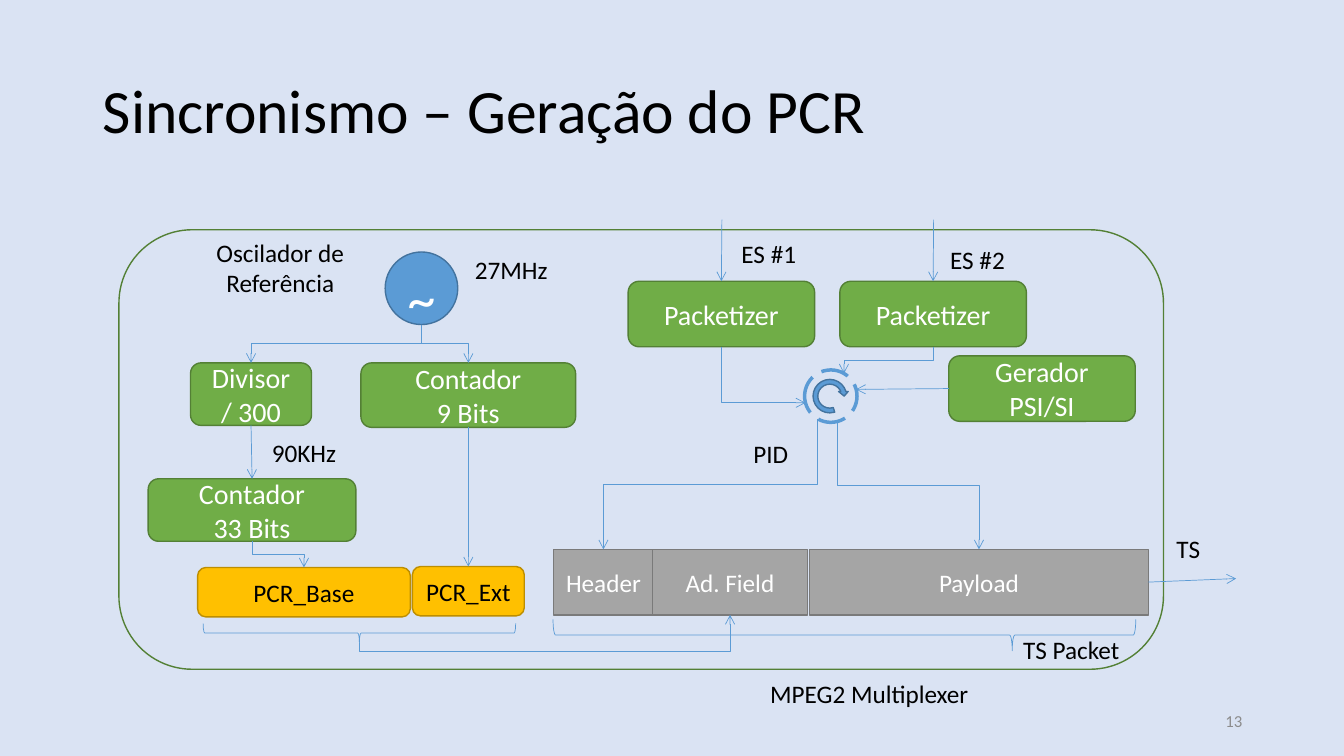
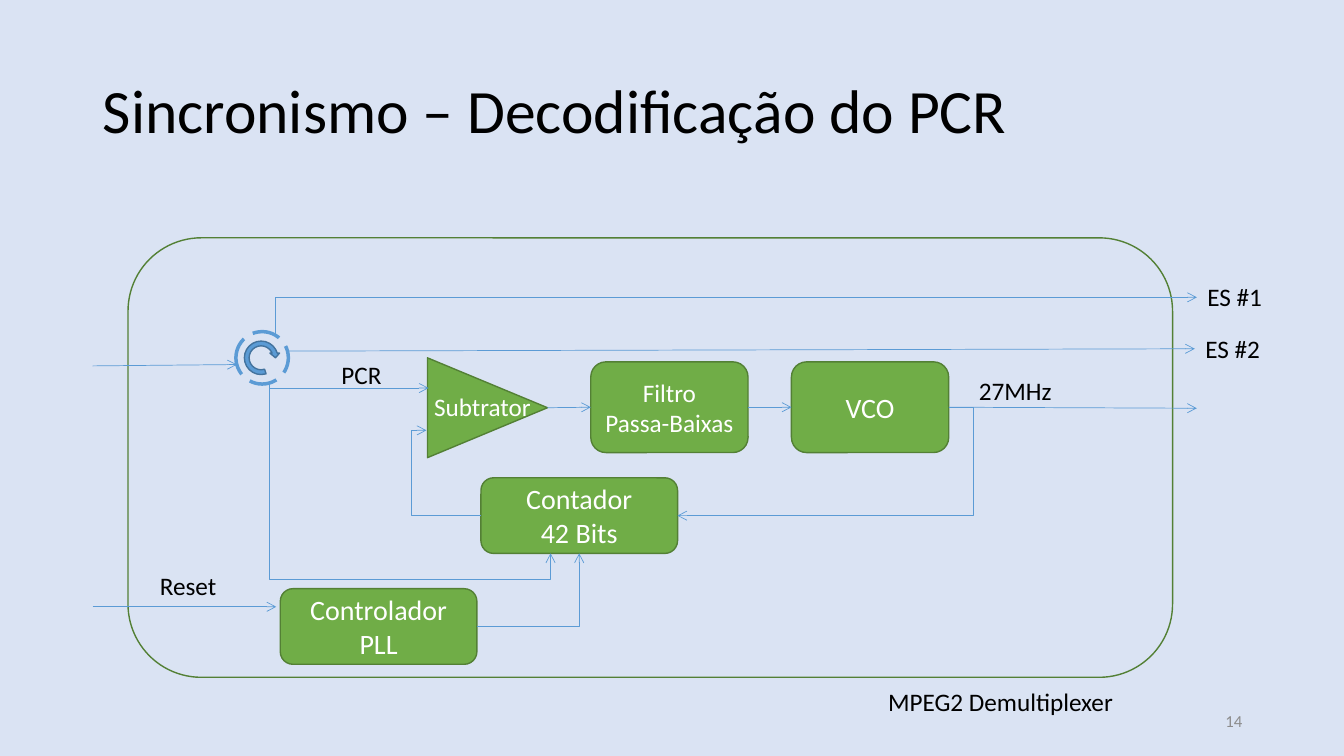
from dataclasses import dataclass
from math import cos, radians, sin

from lxml.etree import SubElement
from pptx import Presentation
from pptx.dml.color import RGBColor
from pptx.enum.dml import MSO_LINE
from pptx.enum.shapes import MSO_CONNECTOR, MSO_SHAPE
from pptx.enum.text import MSO_ANCHOR, PP_ALIGN
from pptx.oxml.ns import qn
from pptx.util import Inches, Pt

FONT = "Calibri"
BACKGROUND, BLACK, WHITE, PAGE_NUMBER = "DAE3F3", "000000", "FFFFFF", "8C8C8C"
BLUE, DARK_BLUE = "5B9BD5", "43739E"
GREEN, DARK_GREEN = "70AD47", "538035"
GOLD, DARK_GOLD = "FFC000", "BD8E00"
GRAY, DARK_GRAY = "A5A5A5", "7A7A7A"
TOP, LEFT, BOTTOM, RIGHT = range(4)
ROUND_TOP_RIGHT, ROUND_LEFT, ROUND_BOTTOM_LEFT, ROUND_BOTTOM, ROUND_RIGHT = 7, 2, 3, 4, 6


def color(value):
    """Turn a hex string into a colour."""
    return RGBColor.from_string(value)


def write(box, text, size=18, fill=BLACK, align=PP_ALIGN.CENTER,
          anchor=MSO_ANCHOR.MIDDLE, spacing=None):
    """Write one paragraph per line of text into a box."""
    frame = box.text_frame
    frame.word_wrap = True
    frame.vertical_anchor = anchor
    for index, line in enumerate(text.split("\n")):
        para = frame.add_paragraph() if index else frame.paragraphs[0]
        para.alignment = align
        if spacing:
            para.line_spacing = spacing
        span = para.add_run()
        span.text = line
        span.font.name = FONT
        span.font.size = Pt(size)
        span.font.color.rgb = color(fill)


def anchor_point(shape, site):
    """Find the centre of a connection site, in slide units."""
    count = 8 if shape.auto_shape_type == MSO_SHAPE.OVAL else 4
    angle = radians(-90 - site * 360 / count)
    turn = radians(shape.rotation)
    across = shape.width / 2 * cos(angle)
    down = shape.height / 2 * sin(angle)
    return (shape.left + shape.width / 2 + across * cos(turn) - down * sin(turn),
            shape.top + shape.height / 2 + across * sin(turn) + down * cos(turn))


@dataclass
class Diagram:
    """A drawing area whose lengths count from its top left corner."""
    page: object
    left: float
    top: float

    def place(self, left, top, width, height):
        """Turn a box of the diagram into slide lengths."""
        return [Inches(n) for n in (self.left + left, self.top + top, width, height)]

    def shape(self, kind, box, fill=None, line=DARK_GREEN, width=1, rotation=0, adjust=()):
        """Add a preset shape."""
        shape = self.page.shapes.add_shape(kind, *self.place(*box))
        shape.shadow.inherit = False
        shape.rotation = rotation
        if fill:
            shape.fill.solid()
            shape.fill.fore_color.rgb = color(fill)
        else:
            shape.fill.background()
        shape.line.color.rgb = color(line)
        shape.line.width = Pt(width)
        for index, value in enumerate(adjust):
            shape.adjustments[index] = value
        return shape

    def block(self, text, box, fill=GREEN, line=DARK_GREEN, ink=WHITE, size=20,
              kind=MSO_SHAPE.ROUNDED_RECTANGLE):
        """Add a filled shape with centred text."""
        block = self.shape(kind, box, fill, line)
        write(block, text, size, ink)
        return block

    def label(self, text, left, top, width, height=0.4, **style):
        """Add a free text label."""
        box = self.page.shapes.add_textbox(*self.place(left, top, width, height))
        write(box, text, anchor=MSO_ANCHOR.TOP, **style)

    def frame(self, caption, left, width):
        """Add the outline of the diagram and the caption below it."""
        self.shape(MSO_SHAPE.ROUNDED_RECTANGLE, (0, 0, 10.36, 4.36))
        self.label(caption, left, 4.4, width, align=PP_ALIGN.LEFT)

    def brace(self, left, top, width, height, adjust=()):
        """Add a brace that opens upwards."""
        self.shape(MSO_SHAPE.LEFT_BRACE, (left, top, width, height), None, BLUE, 0.5, 270, adjust)

    def switch(self, left, top):
        """Add the dashed rotating switch and return its ring."""
        ring = self.shape(MSO_SHAPE.OVAL, (left, top, 0.52, 0.52), None, BLUE, 2.5, 345.1)
        ring.line.dash_style = MSO_LINE.LONG_DASH
        self.shape(MSO_SHAPE.CIRCULAR_ARROW, (left + 0.06, top + 0.07, 0.38, 0.38), BLUE,
                   DARK_BLUE, adjust=(0.125, 11.423, 204.577, 43.786, 0.125))
        return ring

    def locate(self, end):
        """Find a wire end given as (shape, site) or as (x, y)."""
        if hasattr(end[0], "shape_id"):
            return anchor_point(*end)
        return Inches(self.left + end[0]), Inches(self.top + end[1])

    def wire(self, start, end, route="straight", vertical=True, bend=0.5):
        """Add an arrow that runs straight, in a step or round a corner."""
        (x1, y1), (x2, y2) = self.locate(start), self.locate(end)
        straight = route == "straight"
        turned = vertical and not straight
        clockwise = not (x2 > x1 and y2 > y1)
        if turned:
            sign = 1 if clockwise else -1
            middle_x, middle_y = (x1 + x2) / 2, (y1 + y2) / 2
            half_x, half_y = sign * (y2 - y1) / 2, sign * (x1 - x2) / 2
            x1, x2 = middle_x - half_x, middle_x + half_x
            y1, y2 = middle_y - half_y, middle_y + half_y
        kind = MSO_CONNECTOR.STRAIGHT if straight else MSO_CONNECTOR.ELBOW
        points = [int(round(n)) for n in (x1, y1, x2, y2)]
        wire = self.page.shapes.add_connector(kind, *points)
        wire.line.color.rgb = color(BLUE)
        wire.line.width = Pt(0.5)
        properties = wire.element.spPr
        if turned:
            properties.find(qn("a:xfrm")).set("rot", "5400000" if clockwise else "16200000")
        geometry = properties.find(qn("a:prstGeom"))
        if route == "corner":
            geometry.set("prst", "bentConnector2")
        elif route == "step":
            for guides in geometry.findall(qn("a:avLst")):
                geometry.remove(guides)
            SubElement(SubElement(geometry, qn("a:avLst")), qn("a:gd"),
                       name="adj1", fmla=f"val {round(bend * 100000)}")
        SubElement(properties.find(qn("a:ln")), qn("a:tailEnd"), type="arrow")
        SubElement(properties, qn("a:effectLst"))
        links = wire.element.find(".//" + qn("p:cNvCxnSpPr"))
        for tag, target in (("a:stCxn", start), ("a:endCxn", end)):
            if hasattr(target[0], "shape_id"):
                SubElement(links, qn(tag), id=str(target[0].shape_id), idx=str(target[1]))


def add_page(deck, title, number):
    """Add a slide with its title and number."""
    page = deck.slides.add_slide(deck.slide_layouts[5])
    box = page.shapes.title
    box.left, box.top, box.width, box.height = [Inches(n) for n in (0.92, 0.4, 11.5, 1.45)]
    write(box, title, 44, align=PP_ALIGN.LEFT, spacing=0.9)
    footer = page.shapes.add_textbox(Inches(9.42), Inches(6.95), Inches(3), Inches(0.4))
    write(footer, str(number), 12, PAGE_NUMBER, PP_ALIGN.RIGHT)
    return page


def draw_clock(area):
    """Draw the reference clock and its counters down to the PCR fields."""
    oscillator = area.block("~", (2.64, 0.22, 0.72, 0.72), BLUE, DARK_BLUE, size=40,
                            kind=MSO_SHAPE.OVAL)
    oscillator.text_frame.margin_top = Inches(0.23)
    divider = area.block("Divisor\n/ 300", (0.71, 1.32, 1.2, 0.62))
    short_counter = area.block("Contador\n9 Bits", (2.4, 1.32, 2.13, 0.64))
    long_counter = area.block("Contador\n33 Bits", (0.29, 2.47, 2.06, 0.62))
    gold = dict(fill=GOLD, line=DARK_GOLD, ink=BLACK, size=18)
    base = area.block("PCR_Base", (0.78, 3.35, 2.11, 0.49), **gold)
    extension = area.block("PCR_Ext", (2.91, 3.34, 1.11, 0.49), **gold)
    area.label("Oscilador de Referência", 0.77, 0.02, 1.66, 0.71)
    area.label("27MHz", 3.42, 0.19, 0.94)
    area.label("90KHz", 1.39, 2.01, 0.89)
    for counter in (divider, short_counter):
        area.wire((oscillator, ROUND_BOTTOM), (counter, TOP), "step")
    area.wire((divider, BOTTOM), (long_counter, TOP))
    area.wire((long_counter, BOTTOM), (base, TOP), "step")
    area.wire((short_counter, BOTTOM), (extension, TOP))
    area.brace(2.29, 2.45, 0.19, 3.1)


def draw_packets(area):
    """Draw the packetizers, the switch and the transport packet."""
    packetizers = [area.block("Packetizer", (left, 0.51, 1.85, 0.65)) for left in (5.05, 7.15)]
    tables = area.block("Gerador\nPSI/SI", (8.23, 1.25, 1.85, 0.65))
    switch = area.switch(6.8, 1.39)
    header, field, payload = [
        area.block(text, (left, 3.17, width, 0.65), GRAY, DARK_GRAY, size=18,
                   kind=MSO_SHAPE.RECTANGLE)
        for text, left, width in (("Header", 4.31, 0.99), ("Ad. Field", 5.29, 1.54),
                                  ("Payload", 6.85, 3.36))]
    area.brace(7.04, 1.13, 0.31, 5.78, (0.083, 0.788))
    for text, left, top, width in (("ES #1", 5.97, 0.04, 0.95), ("ES #2", 8.04, 0.09, 0.95),
                                   ("PID", 6.02, 2.02, 0.89), ("TS Packet", 8.77, 3.96, 1.35),
                                   ("TS", 10.18, 2.96, 0.85)):
        area.label(text, left, top, width)
    for packetizer, left in zip(packetizers, (5.98, 8.08)):
        area.wire((left, -0.1), (packetizer, TOP))
    area.wire((packetizers[0], BOTTOM), (switch, ROUND_LEFT), "corner")
    area.wire((packetizers[1], BOTTOM), (switch, ROUND_TOP_RIGHT), "step")
    area.wire((tables, LEFT), (switch, ROUND_RIGHT))
    area.wire((switch, ROUND_BOTTOM_LEFT), (header, TOP), "step")
    area.wire((switch, ROUND_BOTTOM), (payload, TOP), "step")
    area.wire((2.38, 4.1), (field, BOTTOM), "step", bend=-0.28)
    area.wire((payload, RIGHT), (11.08, 3.46))


def draw_decoder(area):
    """Draw the loop that recovers the clock."""
    switch = area.switch(1.07, 0.93)
    subtractor = area.shape(MSO_SHAPE.ISOSCELES_TRIANGLE, (3.07, 1.09, 0.99, 1.19), GREEN,
                            rotation=90)
    low_pass = area.block("Filtro\nPassa-Baixas", (4.59, 1.23, 1.56, 0.9), size=18)
    oscillator = area.block("VCO", (6.58, 1.23, 1.56, 0.9))
    counter = area.block("Contador\n42 Bits", (3.5, 2.38, 1.95, 0.75))
    controller = area.block("Controlador\nPLL", (1.51, 3.48, 1.95, 0.75))
    area.label("Subtrator", 2.83, 1.47, 1.37, fill=WHITE)
    for text, left, top, width in (("PCR", 1.89, 1.16, 0.85), ("27MHz", 8.32, 1.31, 0.96),
                                   ("Reset", 0.17, 3.25, 0.85), ("ES #1", 10.5, 0.38, 0.95),
                                   ("ES #2", 10.48, 0.9, 0.95)):
        area.label(text, left, top, width)
    area.wire((-0.35, 1.27), (switch, ROUND_LEFT))
    area.wire((switch, ROUND_TOP_RIGHT), (10.6, 0.59), "corner")
    area.wire((switch, ROUND_RIGHT), (10.58, 1.1))
    area.wire((switch, ROUND_BOTTOM), (2.98, 1.49), "corner")
    area.wire((switch, ROUND_BOTTOM), (4.19, 3.13), "step", bend=1.15)
    area.wire((subtractor, TOP), (low_pass, LEFT))
    area.wire((low_pass, RIGHT), (oscillator, LEFT))
    area.wire((oscillator, RIGHT), (10.6, 1.69))
    area.wire((oscillator, RIGHT), (counter, RIGHT), "step", vertical=False, bend=-0.09)
    area.wire((counter, LEFT), (2.96, 1.91), "step", vertical=False, bend=1.27)
    area.wire((-0.35, 3.66), (1.47, 3.66))
    area.wire((controller, RIGHT), (counter, BOTTOM), "corner", vertical=False)


def main():
    """Build and save the deck."""
    deck = Presentation()
    deck.slide_width, deck.slide_height = Inches(13.33), Inches(7.5)
    background = deck.slide_master.background.fill
    background.solid()
    background.fore_color.rgb = color(BACKGROUND)

    multiplexer = Diagram(add_page(deck, "Sincronismo – Geração do PCR", 13), 1.18, 2.28)
    multiplexer.frame("MPEG2 Multiplexer", 6.36, 2.35)
    draw_clock(multiplexer)
    draw_packets(multiplexer)

    demultiplexer = Diagram(add_page(deck, "Sincronismo – Decodificação do PCR", 14), 1.27, 2.36)
    demultiplexer.frame("MPEG2 Demultiplexer", 7.44, 2.6)
    draw_decoder(demultiplexer)
    deck.save("out.pptx")


if __name__ == "__main__":
    main()
